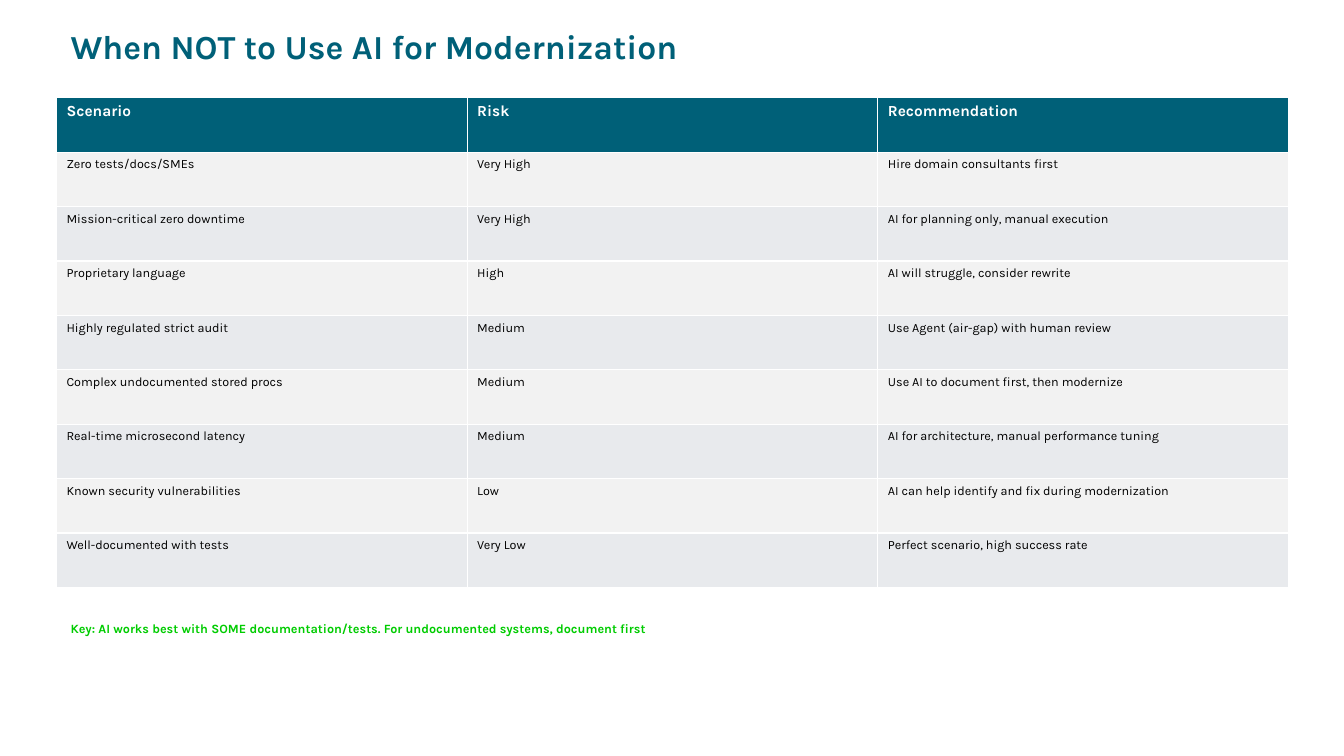
from pptx import Presentation
from pptx.dml.color import RGBColor
from pptx.util import Inches, Pt

TITLE = "When NOT to Use AI for Modernization"
KEY = "Key: AI works best with SOME documentation/tests. For undocumented systems, document first"
ROWS = [
    ("Scenario", "Risk", "Recommendation"),
    ("Zero tests/docs/SMEs", "Very High", "Hire domain consultants first"),
    ("Mission-critical zero downtime", "Very High", "AI for planning only, manual execution"),
    ("Proprietary language", "High", "AI will struggle, consider rewrite"),
    ("Highly regulated strict audit", "Medium", "Use Agent (air-gap) with human review"),
    ("Complex undocumented stored procs", "Medium", "Use AI to document first, then modernize"),
    ("Real-time microsecond latency", "Medium", "AI for architecture, manual performance tuning"),
    ("Known security vulnerabilities", "Low", "AI can help identify and fix during modernization"),
    ("Well-documented with tests", "Very Low", "Perfect scenario, high success rate"),
]

TEAL = RGBColor(0x00, 0x60, 0x78)
GREEN = RGBColor(0x00, 0xCC, 0x00)
WHITE = RGBColor(0xFF, 0xFF, 0xFF)
BLACK = RGBColor(0x00, 0x00, 0x00)
BANDS = (RGBColor(0xF2, 0xF2, 0xF2), RGBColor(0xE8, 0xEA, 0xED))

FONT = "Karla"
LEFT, WIDTH = Inches(0.56), Inches(12.22)
TABLE_TOP, ROW_HEIGHT = Inches(0.97), Inches(0.54)


def write(frame, words, size, color, bold):
    frame.text = words
    font = frame.paragraphs[0].runs[0].font
    font.name, font.size, font.bold = FONT, Pt(size), bold
    font.color.rgb = color


def add_line_of_text(page, words, top, height, size, color):
    box = page.shapes.add_textbox(LEFT, Inches(top), WIDTH, Inches(height))
    frame = box.text_frame
    frame.word_wrap = True
    frame.margin_left = frame.margin_right = Inches(0.14)
    write(frame, words, size, color, True)


def add_scenarios(page):
    table = page.shapes.add_table(
        len(ROWS), len(ROWS[0]), LEFT, TABLE_TOP, WIDTH, ROW_HEIGHT * len(ROWS)
    ).table
    for index, row in enumerate(ROWS):
        header = index == 0
        for column, words in enumerate(row):
            cell = table.cell(index, column)
            cell.fill.solid()
            cell.fill.fore_color.rgb = TEAL if header else BANDS[(index - 1) % 2]
            write(cell.text_frame, words, 11 if header else 9,
                  WHITE if header else BLACK, header)


def main():
    deck = Presentation()
    deck.slide_width, deck.slide_height = Inches(13.33), Inches(7.5)
    page = deck.slides.add_slide(deck.slide_layouts[6])
    add_line_of_text(page, TITLE, 0.21, 0.5, 24, TEAL)
    add_scenarios(page)
    add_line_of_text(page, KEY, 6.11, 0.25, 9, GREEN)
    deck.save("out.pptx")


if __name__ == "__main__":
    main()
